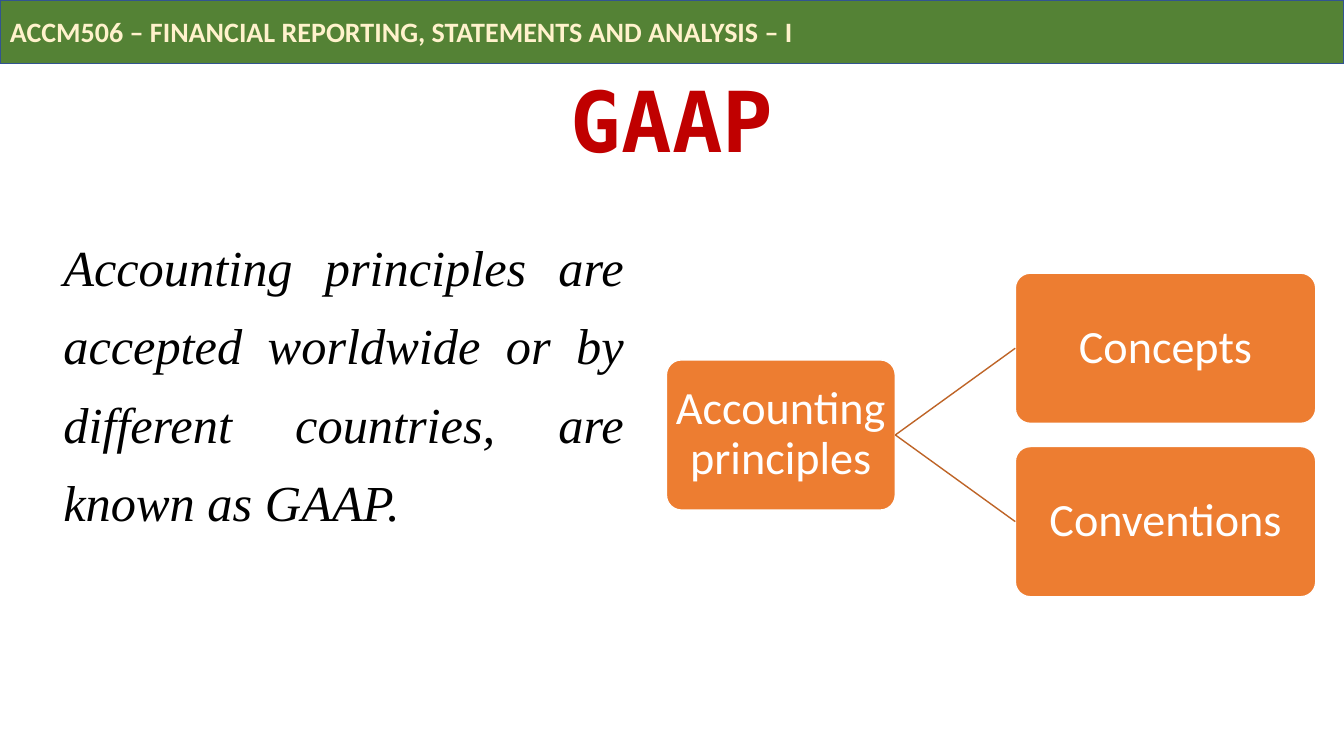
from pptx import Presentation
from pptx.dml.color import RGBColor as RGB
from pptx.enum.shapes import MSO_CONNECTOR as CONN, MSO_SHAPE as SHAPE
from pptx.enum.text import MSO_ANCHOR as ANCHOR, PP_ALIGN as ALIGN
from pptx.oxml.ns import qn
from pptx.util import Inches, Pt

HEADER = "ACCM506 – FINANCIAL REPORTING, STATEMENTS AND ANALYSIS – I"
TITLE = "GAAP"
BODY = "Accounting principles are accepted worldwide or by different countries, are known as GAAP."
ROOT = "Accounting principles"
BRANCHES = ["Concepts", "Conventions"]

THEME = {
    "header_fill": RGB.from_string("548235"),
    "header_line": RGB.from_string("325491"),
    "node_fill": RGB.from_string("ED7D31"),
    "node_line": RGB.from_string("FFFFFF"),
    "link": RGB.from_string("BE6427"),
    "header": {"name": "Calibri", "size": Pt(20), "bold": True, "color": "FFF2CC"},
    "title": {"name": "DejaVu Sans Mono", "size": Pt(60), "bold": True, "color": "C00000"},
    "body": {"name": "Times New Roman", "size": Pt(36), "italic": True, "color": "000000"},
    "node": {"name": "Calibri", "size": Pt(33), "color": "FFFFFF"},
}

SLIDE_W, SLIDE_H = 13.33, 7.5
HEADER_H = 0.63
TITLE_BOX = (0.84, 0.74, 11.65, 1.27)
BODY_BOX = (0.53, 2.11, 5.76, 5.13)
ROOT_X, ROOT_W = 6.61, 2.27
BRANCH_X, BRANCH_W = 10.07, 2.98
TREE_TOP, NODE_H, NODE_GAP = 2.71, 1.49, 0.23
NODE_INSET = 0.02


def set_text(sp, text, style, align, anchor, spacing=1.0, before=0):
    tf = sp.text_frame
    tf.word_wrap = True
    tf.vertical_anchor = anchor
    p = tf.paragraphs[0]
    p.alignment = align
    p.line_spacing = spacing
    p.space_before = Pt(before)
    r = p.add_run()
    r.text = text
    for key, value in THEME[style].items():
        if key == "color":
            r.font.color.rgb = RGB.from_string(value)
        else:
            setattr(r.font, key, value)


def add_box(slide, kind, box, fill, line):
    sp = slide.shapes.add_shape(kind, *map(Inches, box))
    sp.shadow.inherit = False
    sp.fill.solid()
    sp.fill.fore_color.rgb = THEME[fill]
    sp.line.color.rgb = THEME[line]
    sp.line.width = Pt(1)
    return sp


def add_node(slide, text, x, y, w):
    sp = add_box(slide, SHAPE.ROUNDED_RECTANGLE, (x, y, w, NODE_H), "node_fill", "node_line")
    sp.adjustments[0] = 0.1
    for side in ("left", "top", "right", "bottom"):
        setattr(sp.text_frame, f"margin_{side}", Inches(NODE_INSET))
    set_text(sp, text, "node", ALIGN.CENTER, ANCHOR.MIDDLE, 0.9)
    return sp


def add_link(slide, start, end):
    link = slide.shapes.add_connector(CONN.STRAIGHT, 0, 0, 0, 0)
    link.begin_connect(start, 3)
    link.end_connect(end, 1)
    link.line.color.rgb = THEME["link"]
    link.line.width = Pt(1)
    sp_pr = link._element.spPr
    sp_pr.append(sp_pr.makeelement(qn("a:effectLst"), {}))


def main():
    prs = Presentation()
    prs.slide_width, prs.slide_height = Inches(SLIDE_W), Inches(SLIDE_H)
    slide = prs.slides.add_slide(prs.slide_layouts[5])

    header = add_box(slide, SHAPE.RECTANGLE, (0, 0, SLIDE_W, HEADER_H), "header_fill", "header_line")
    set_text(header, HEADER, "header", ALIGN.LEFT, ANCHOR.MIDDLE)

    title = slide.shapes.title
    title.left, title.top, title.width, title.height = map(Inches, TITLE_BOX)
    set_text(title, TITLE, "title", ALIGN.CENTER, ANCHOR.TOP, 0.9)

    body = slide.shapes.add_textbox(*map(Inches, BODY_BOX))
    set_text(body, BODY, "body", ALIGN.JUSTIFY, ANCHOR.TOP, 1.3, 10)

    step = NODE_H + NODE_GAP
    root_y = TREE_TOP + step * (len(BRANCHES) - 1) / 2
    root = add_node(slide, ROOT, ROOT_X, root_y, ROOT_W)
    for i, text in enumerate(BRANCHES):
        branch = add_node(slide, text, BRANCH_X, TREE_TOP + i * step, BRANCH_W)
        add_link(slide, root, branch)

    prs.save("out.pptx")


if __name__ == "__main__":
    main()
